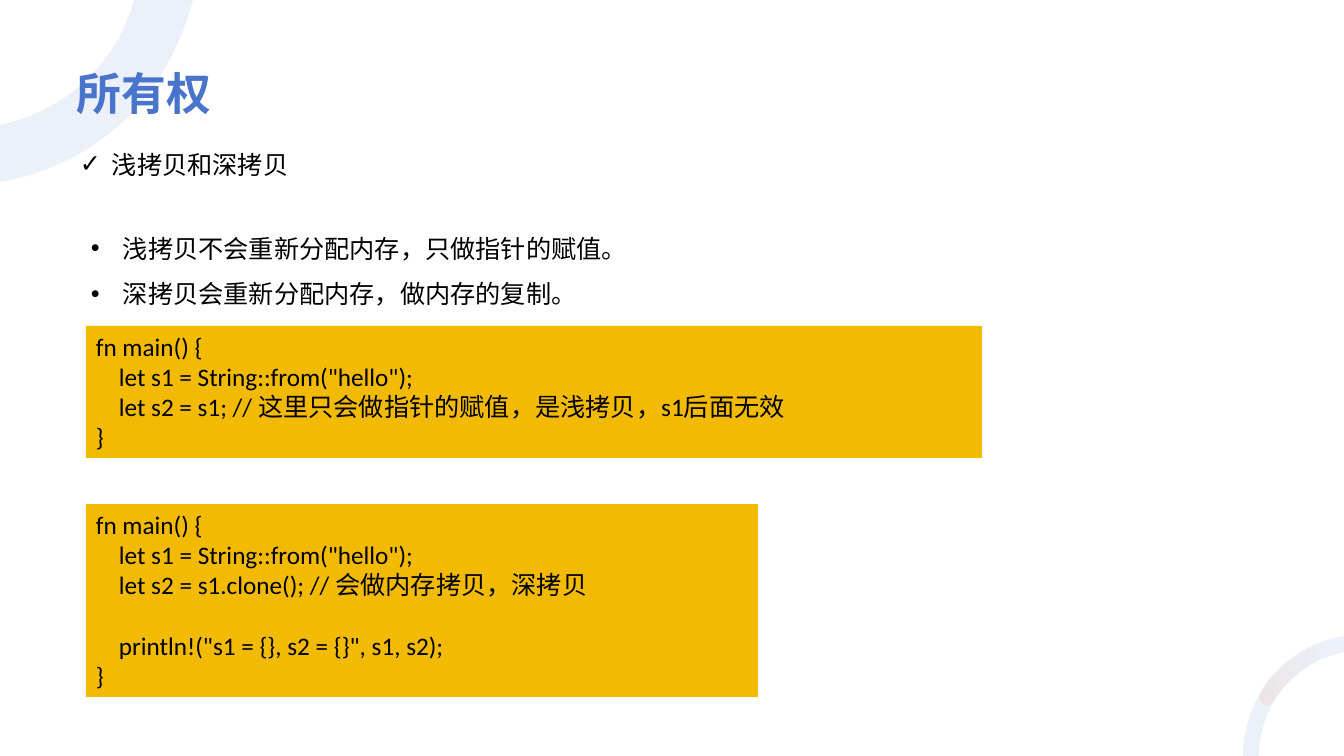
import pptx
import pptx.dml.color
import pptx.enum.shapes
import pptx.enum.text
import pptx.oxml.ns
import pptx.util
import lxml.etree

PX = 914400 / 100.8
COLORS = {"blue": "4874CB", "orange": "EE822F", "code": "F2BA02", "text": "000000"}
LATIN, CJK = "Calibri", "Noto Sans CJK SC"
BULLET_INDENT = 32
CODE_INDENT = 23

# Outlines: a start point, then lines (one point) or Bezier curves (three points)
TOP_RING = [
    [(0, 125)], [(42, 116), (81, 93), (108, 55)], [(120, 38), (129, 19), (134, 0)],
    [(193, 0)], [(185, 30), (172, 60), (153, 88)], [(115, 140), (59, 172), (0, 182)],
]
BOTTOM_RING = [
    [(1344, 636)], [(1286, 646), (1243, 696), (1243, 756)],
    [(1259, 756)], [(1259, 705), (1295, 662), (1344, 652)],
]
RING_ACCENT = [
    [(1344, 636)], [(1344, 652)], [(1315, 658), (1290, 676), (1274, 700)],
    [(1272, 704), (1267, 705), (1264, 703)], [(1260, 700), (1259, 695), (1261, 692)],
    [(1279, 663), (1309, 642), (1344, 636)],
]

# Code lines: indent level, space before in points, text
SHALLOW_CODE = [
    (0, 0, "fn main() {"),
    (1, 0, 'let s1 = String::from("hello");'),
    (1, 0, "let s2 = s1; // 这里只会做指针的赋值，是浅拷贝，s1后面无效"),
    (0, 0, "}"),
]
DEEP_CODE = [
    (0, 0, "fn main() {"),
    (1, 0, 'let s1 = String::from("hello");'),
    (1, 0, "let s2 = s1.clone(); // 会做内存拷贝，深拷贝"),
    (1, 22, 'println!("s1 = {}, s2 = {}", s1, s2);'),
    (0, 0, "}"),
]


def px(length):
    return pptx.util.Emu(round(length * PX))


def rgb(name):
    return pptx.dml.color.RGBColor.from_string(COLORS[name])


def add_child(parent, tag, **attributes):
    child = lxml.etree.SubElement(parent, pptx.oxml.ns.qn(tag))
    for name, value in attributes.items():
        child.set(name, str(value))
    return child


def add_outline(slide, segments):
    ends = [tuple(map(px, segment[-1])) for segment in segments]
    builder = slide.shapes.build_freeform(*ends[0], scale=1.0)
    builder.add_line_segments(ends[1:], close=True)
    ring = builder.convert_to_shape()
    ring.shadow.inherit = False
    ring.line.fill.background()
    # Turn the straight sides that stand for curves into Bezier segments
    sides = list(ring._element.spPr.iter(pptx.oxml.ns.qn("a:lnTo")))
    for side, segment in zip(sides, segments[1:]):
        if len(segment) == 3:
            curve = add_child(side.getparent(), "a:cubicBezTo")
            for x, y in segment:
                add_child(curve, "a:pt", x=px(x) - ring.left, y=px(y) - ring.top)
            side.getparent().replace(side, curve)
    return ring


def set_alpha(shape, percents):
    fill_colors = shape._element.spPr.iter(pptx.oxml.ns.qn("a:srgbClr"))
    for color, percent in zip(list(fill_colors), percents):
        add_child(color, "a:alpha", val=percent * 1000)


def add_ring(slide, segments):
    ring = add_outline(slide, segments)
    ring.fill.solid()
    ring.fill.fore_color.rgb = rgb("blue")
    set_alpha(ring, [10])


def add_accent(slide, segments):
    accent = add_outline(slide, segments)
    accent.fill.gradient()
    accent.fill.gradient_angle = 359
    for stop, position in zip(accent.fill.gradient_stops, (0, 0.7)):
        stop.color.rgb = rgb("orange")
        stop.position = position
    set_alpha(accent, [10, 0])


def format_runs(paragraph, size=18, color="text", bold=False, font=LATIN):
    for run in paragraph.runs:
        run.font.size = pptx.util.Pt(size)
        run.font.name = font
        run.font.bold = bold
        run.font.color.rgb = rgb(color)
        add_child(run._r.get_or_add_rPr(), "a:ea", typeface=CJK)


def add_title(slide, text, box):
    frame = slide.shapes.add_textbox(*map(px, box)).text_frame
    frame.word_wrap = True
    frame.margin_left = frame.margin_right = frame.margin_top = frame.margin_bottom = 0
    frame.vertical_anchor = pptx.enum.text.MSO_ANCHOR.BOTTOM
    frame.text = text
    format_runs(frame.paragraphs[0], size=32, color="blue", bold=True)


def add_bullets(slide, lines, box, mark, spacing=1.0, font=LATIN):
    frame = slide.shapes.add_textbox(*map(px, box)).text_frame
    frame.word_wrap = True
    frame.text = "\n".join(lines)
    for paragraph in frame.paragraphs:
        paragraph.line_spacing = spacing
        properties = paragraph._p.get_or_add_pPr()
        properties.set("marL", str(px(BULLET_INDENT)))
        properties.set("indent", str(px(-BULLET_INDENT)))
        add_child(properties, "a:buFont", typeface="Arial")
        add_child(properties, "a:buChar", char=mark)
        format_runs(paragraph, font=font)


def add_code(slide, lines, box):
    panel = slide.shapes.add_shape(pptx.enum.shapes.MSO_SHAPE.RECTANGLE, *map(px, box))
    panel.shadow.inherit = False
    panel.fill.solid()
    panel.fill.fore_color.rgb = rgb("code")
    panel.line.fill.background()
    frame = panel.text_frame
    frame.word_wrap = True
    frame.vertical_anchor = pptx.enum.text.MSO_ANCHOR.TOP
    frame.text = "\n".join(text for _, _, text in lines)
    for paragraph, (level, gap, _) in zip(frame.paragraphs, lines):
        paragraph.alignment = pptx.enum.text.PP_ALIGN.LEFT
        paragraph.space_before = pptx.util.Pt(gap)
        paragraph._p.get_or_add_pPr().set("marL", str(px(level * CODE_INDENT)))
        format_runs(paragraph)


def main():
    deck = pptx.Presentation()
    deck.slide_width, deck.slide_height = px(1344), px(756)
    slide = deck.slides.add_slide(deck.slide_layouts[6])

    # Corner decoration
    add_ring(slide, TOP_RING)
    add_ring(slide, BOTTOM_RING)
    add_accent(slide, RING_ACCENT)

    # Heading and explanation
    add_title(slide, "所有权", (77, 39, 1190, 80))
    add_bullets(slide, ["浅拷贝和深拷贝"], (70, 144, 1023, 40), "✓", font=CJK)
    add_bullets(slide, ["浅拷贝不会重新分配内存，只做指针的赋值。",
                        "深拷贝会重新分配内存，做内存的复制。"],
                (81, 213, 735, 147), "•", spacing=1.5)

    # Code examples
    add_code(slide, SHALLOW_CODE, (86, 326, 896, 132))
    add_code(slide, DEEP_CODE, (86, 504, 672, 193))

    deck.save("out.pptx")


if __name__ == "__main__":
    main()
